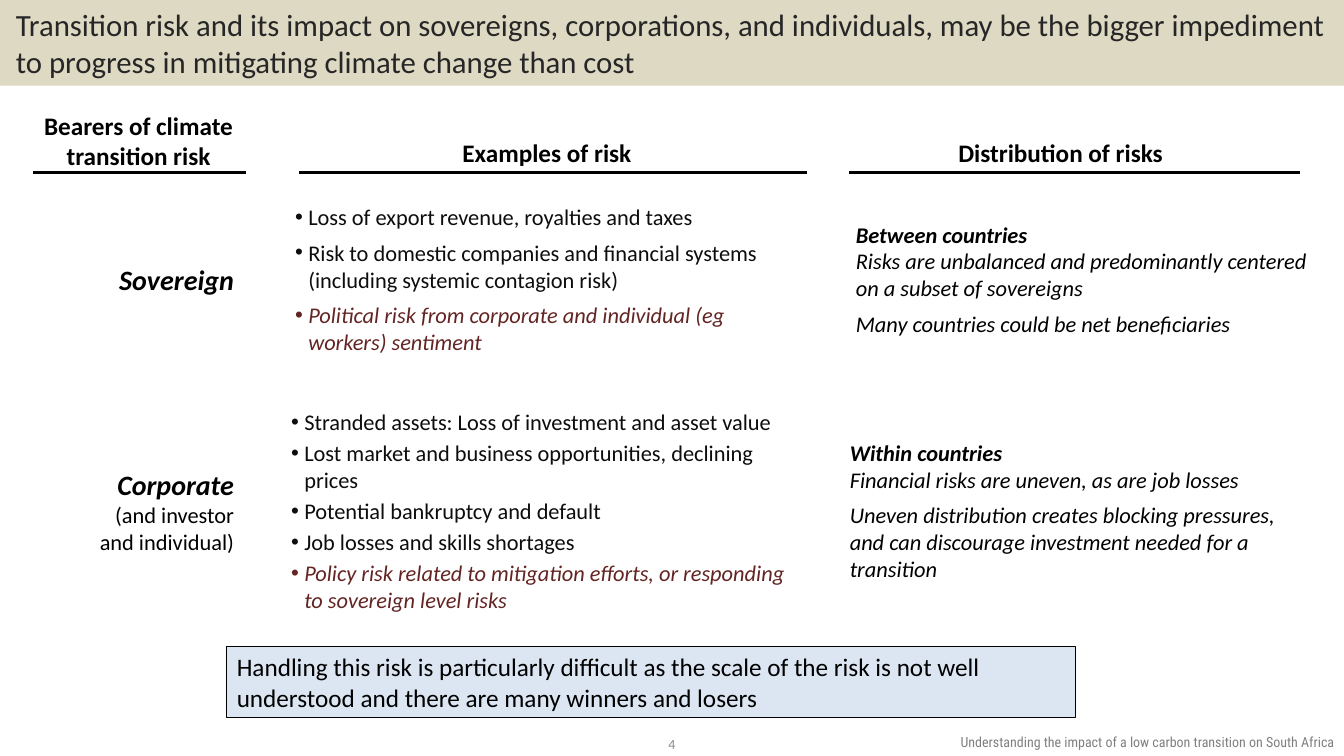
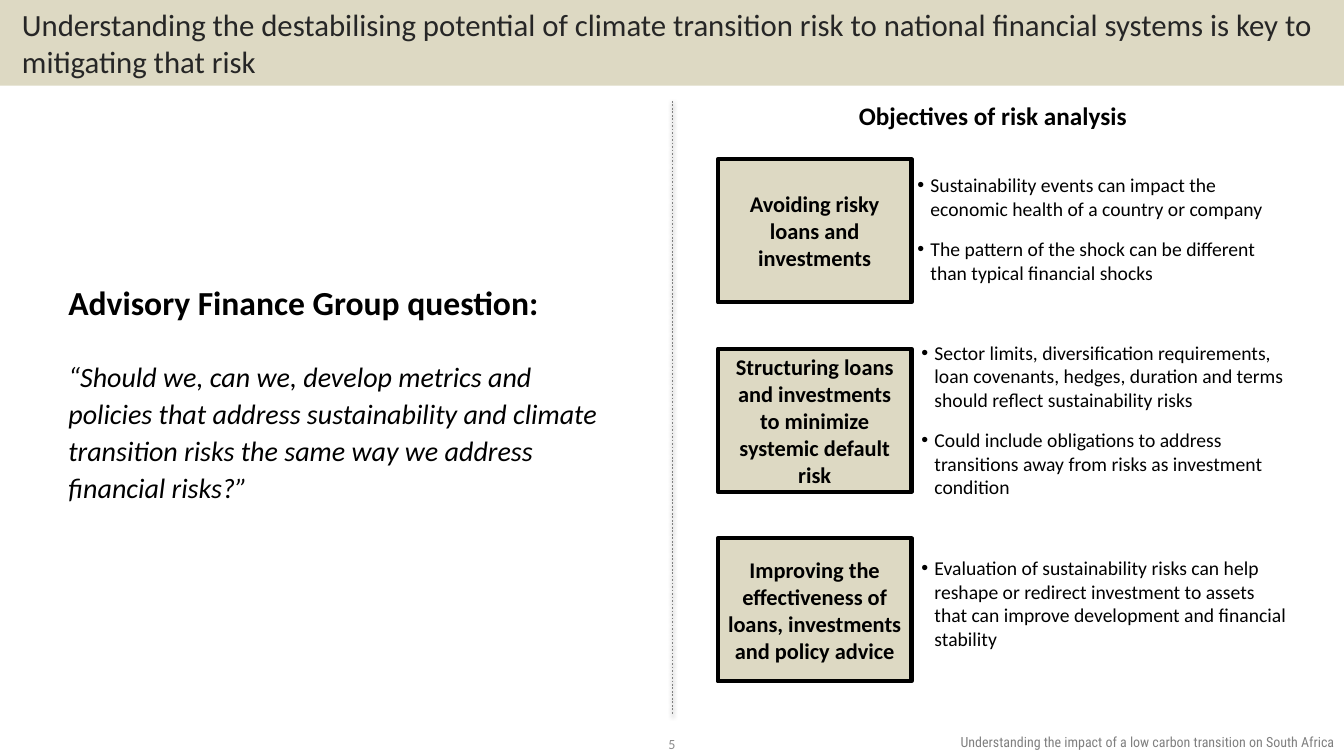
from dataclasses import dataclass, replace

from lxml import etree
from pptx import Presentation
from pptx.dml.color import RGBColor
from pptx.enum.dml import MSO_LINE_DASH_STYLE as Dash
from pptx.enum.shapes import MSO_CONNECTOR, MSO_SHAPE
from pptx.enum.text import MSO_ANCHOR as Anchor, PP_ALIGN as Align
from pptx.oxml.ns import qn
from pptx.util import Inches, Pt

COLORS = {
    "band": "DDD9C3",
    "title": "262626",
    "black": "000000",
    "body": "0D0D0D",
    "accent": "632523",
    "callout": "DCE6F2",
    "gray": "808080",
    "page": "8C8C8C",
}
FONT = "Calibri"
FOOTER_FONT = "Roboto Condensed"
FOOTER = "Understanding the impact of a low carbon transition on South Africa"
BULLET_INDENT = 0.13
SLIDE_W, SLIDE_H = 13.33, 7.5


@dataclass(frozen=True)
class Box:
    left: float
    top: float
    width: float
    height: float

    def lengths(self) -> tuple:
        return tuple(Inches(v) for v in (self.left, self.top, self.width, self.height))


@dataclass(frozen=True)
class Para:
    text: str
    size: float = 16
    color: str = "black"
    bold: bool = False
    italic: bool = False
    after: float = 0
    bullet: bool = False
    indent: float = 0
    spacing: float = 1.0
    font: str = FONT


@dataclass(frozen=True)
class Column:
    heading: str
    box: Box
    rule_start: float
    rule_end: float


@dataclass(frozen=True)
class Bearer:
    label: list[Para]
    label_box: Box
    examples: list[Para]
    examples_box: Box
    distribution: list[Para]
    distribution_box: Box


@dataclass(frozen=True)
class Objective:
    name: str
    points: list[str]
    points_box: Box


def rgb(name: str) -> RGBColor:
    return RGBColor.from_string(COLORS[name])


# Shared drawing functions
def write(frame, paras: list[Para], align=Align.LEFT, anchor=Anchor.TOP) -> None:
    frame.word_wrap = True
    frame.vertical_anchor = anchor
    frame.text = "\n".join(para.text for para in paras)
    for paragraph, para in zip(frame.paragraphs, paras):
        paragraph.alignment = align
        paragraph.space_after = Pt(para.after)
        paragraph.line_spacing = para.spacing
        font = paragraph.runs[0].font
        font.name, font.size = para.font, Pt(para.size)
        font.bold, font.italic = para.bold, para.italic
        font.color.rgb = rgb(para.color)
        props = paragraph._p.get_or_add_pPr()
        if para.bullet:
            props.set("marL", str(Inches(BULLET_INDENT)))
            props.set("indent", str(-Inches(BULLET_INDENT)))
            etree.SubElement(props, qn("a:buFont")).set("typeface", "Arial")
            etree.SubElement(props, qn("a:buChar")).set("char", "•")
        elif para.indent:
            props.set("marL", str(Inches(para.indent)))


def add_text(slide, box: Box, paras: list[Para], align=Align.LEFT, anchor=Anchor.TOP) -> None:
    write(slide.shapes.add_textbox(*box.lengths()).text_frame, paras, align, anchor)


def add_panel(slide, box: Box, fill: str, paras: list[Para], line_width: float = 0,
              align=Align.LEFT) -> None:
    panel = slide.shapes.add_shape(MSO_SHAPE.RECTANGLE, *box.lengths())
    panel.shadow.inherit = False
    panel.fill.solid()
    panel.fill.fore_color.rgb = rgb(fill)
    if line_width:
        panel.line.color.rgb = rgb("black")
        panel.line.width = Pt(line_width)
    else:
        panel.line.fill.background()
    write(panel.text_frame, paras, align, Anchor.MIDDLE)


def add_line(slide, start: tuple[float, float], end: tuple[float, float],
             color: str, width: float):
    line = slide.shapes.add_connector(
        MSO_CONNECTOR.STRAIGHT, *(Inches(v) for v in (*start, *end)))
    line.line.color.rgb = rgb(color)
    line.line.width = Pt(width)
    return line


def add_effects(line):
    return etree.SubElement(line._element.spPr, qn("a:effectLst"))


def start_slide(prs, title: str, title_indent: float, number: int):
    slide = prs.slides.add_slide(prs.slide_layouts[6])
    add_panel(slide, Box(0, 0, SLIDE_W, 0.85), "band",
              [Para(title, 22, "title", indent=title_indent)])
    add_text(slide, Box(8, 7.23, 5.33, 0.27),
             [Para(FOOTER, 10, "gray", font=FOOTER_FONT)], Align.RIGHT)
    add_text(slide, Box(5.11, 7.27, 3.11, 0.23),
             [Para(str(number), 10, "page")], Align.CENTER, Anchor.MIDDLE)
    return slide


# Content builders
def risk_examples(texts: list[str], after: float) -> list[Para]:
    """Bulleted risks; the last one is the accented cross-level risk."""
    paras = [Para(text, color="body", after=after, bullet=True) for text in texts]
    return paras[:-1] + [replace(paras[-1], color="accent", italic=True)]


def risk_spread(heading: str, texts: list[str]) -> list[Para]:
    return [Para(heading, bold=True, italic=True),
            *(Para(text, italic=True, after=6) for text in texts)]


COLUMNS = [
    Column("Bearers of climate transition risk", Box(0.25, 1.04, 2.25, 0.71), 0.33, 2.44),
    Column("Examples of risk", Box(3.94, 1.31, 2.97, 0.4), 2.97, 8),
    Column("Distribution of risks", Box(8.83, 1.31, 3.38, 0.4), 8.42, 12.89),
]
RULE_Y = 1.71

BEARERS = [
    Bearer(
        [Para("Sovereign", 20, bold=True, italic=True)],
        Box(0.75, 2.56, 1.67, 0.44),
        risk_examples([
            "Loss of export revenue, royalties and taxes",
            "Risk to domestic companies and financial systems "
            "(including systemic contagion risk)",
            "Political risk from corporate and individual (eg workers) sentiment",
        ], 6),
        Box(2.83, 1.97, 5.23, 1.62),
        risk_spread("Between countries", [
            "Risks are unbalanced and predominantly centered on a subset of sovereigns",
            "Many countries could be net beneficiaries",
        ]),
        Box(8.39, 2.14, 4.69, 1.26),
    ),
    Bearer(
        [Para("Corporate", 20, bold=True, italic=True),
         Para("(and investor and individual)")],
        Box(0.75, 4.59, 1.67, 0.98),
        risk_examples([
            "Stranded assets: Loss of investment and asset value",
            "Lost market and business opportunities, declining prices",
            "Potential bankruptcy and default",
            "Job losses and skills shortages",
            "Policy risk related to mitigation efforts, or responding "
            "to sovereign level risks",
        ], 3),
        Box(2.79, 4, 5.27, 2.15),
        risk_spread("Within countries", [
            "Financial risks are uneven, as are job losses",
            "Uneven distribution creates blocking pressures, and can discourage "
            "investment needed for a transition",
        ]),
        Box(8.33, 4.31, 4.69, 1.53),
    ),
]

OBJECTIVES = [
    Objective("Avoiding risky loans and investments", [
        "Sustainability events can impact the economic health of a country or company",
        "The pattern of the shock can be different than typical financial shocks",
    ], Box(9, 1.67, 3.92, 1.21)),
    Objective("Structuring loans and investments to minimize systemic default risk", [
        "Sector limits, diversification requirements, loan covenants, hedges, "
        "duration and terms should reflect sustainability risks",
        "Could include obligations to address transitions away from risks "
        "as investment condition",
    ], Box(9.04, 3.33, 3.83, 1.68)),
    Objective("Improving the effectiveness of loans, investments and policy advice", [
        "Evaluation of sustainability risks can help reshape or redirect investment "
        "to assets that can improve development and financial stability",
    ], Box(9.04, 5.47, 3.83, 1.04)),
]
OBJECTIVE_TOP, OBJECTIVE_STEP = 1.58, 1.88


def build_risk_bearers(prs) -> None:
    slide = start_slide(
        prs, "Transition risk and its impact on sovereigns, corporations, and individuals, "
        "may be the bigger impediment to progress in mitigating climate change than cost",
        0.06, 4)
    # Column headings with rules
    for column in COLUMNS:
        add_text(slide, column.box, [Para(column.heading, 18, bold=True)], Align.CENTER)
        rule = add_line(slide, (column.rule_start, RULE_Y), (column.rule_end, RULE_Y),
                        "black", 2)
        add_effects(rule)
    # One row per bearer
    for bearer in BEARERS:
        add_text(slide, bearer.label_box, bearer.label, Align.RIGHT)
        add_text(slide, bearer.examples_box, bearer.examples)
        add_text(slide, bearer.distribution_box, bearer.distribution)
    # Conclusion
    add_panel(slide, Box(2.25, 6.41, 8.42, 0.71), "callout", [Para(
        "Handling this risk is particularly difficult as the scale of the risk is not well "
        "understood and there are many winners and losers", 18)], 0.75)


def build_objectives(prs) -> None:
    slide = start_slide(
        prs, "Understanding the destabilising potential of climate transition risk to "
        "national financial systems is key to mitigating that risk", 0.12, 5)
    # Guiding question
    add_text(slide, Box(0.58, 2.75, 5.5, 2.3), [
        Para("Advisory Finance Group question:", 24, bold=True, after=24),
        Para("“Should we, can we, develop metrics and policies that address sustainability "
             "and climate transition risks the same way we address financial risks?”",
             20, italic=True, spacing=1.1),
    ])
    # Dotted divider with a soft shadow
    divider = add_line(slide, (6.67, 1), (6.67, 7.08), "gray", 1.25)
    divider.line.dash_style = Dash.ROUND_DOT
    shadow = etree.SubElement(add_effects(divider), qn("a:outerShdw"),
                              blurRad=str(Pt(3.1)), dist=str(Pt(1.6)), dir="5400000")
    tint = etree.SubElement(shadow, qn("a:srgbClr"), val=COLORS["black"])
    etree.SubElement(tint, qn("a:alpha"), val="38000")
    # Objectives and their points
    add_text(slide, Box(8.42, 0.95, 2.97, 0.4),
             [Para("Objectives of risk analysis", 18, bold=True)])
    for row, objective in enumerate(OBJECTIVES):
        add_panel(slide, Box(7.12, OBJECTIVE_TOP + row * OBJECTIVE_STEP, 1.92, 1.42), "band",
                  [Para(objective.name, bold=True)], 3, Align.CENTER)
        add_text(slide, objective.points_box,
                 [Para(point, 14, after=12, bullet=True) for point in objective.points])


def main() -> None:
    prs = Presentation()
    prs.slide_width, prs.slide_height = Inches(SLIDE_W), Inches(SLIDE_H)
    build_risk_bearers(prs)
    build_objectives(prs)
    prs.save("out.pptx")


if __name__ == "__main__":
    main()
